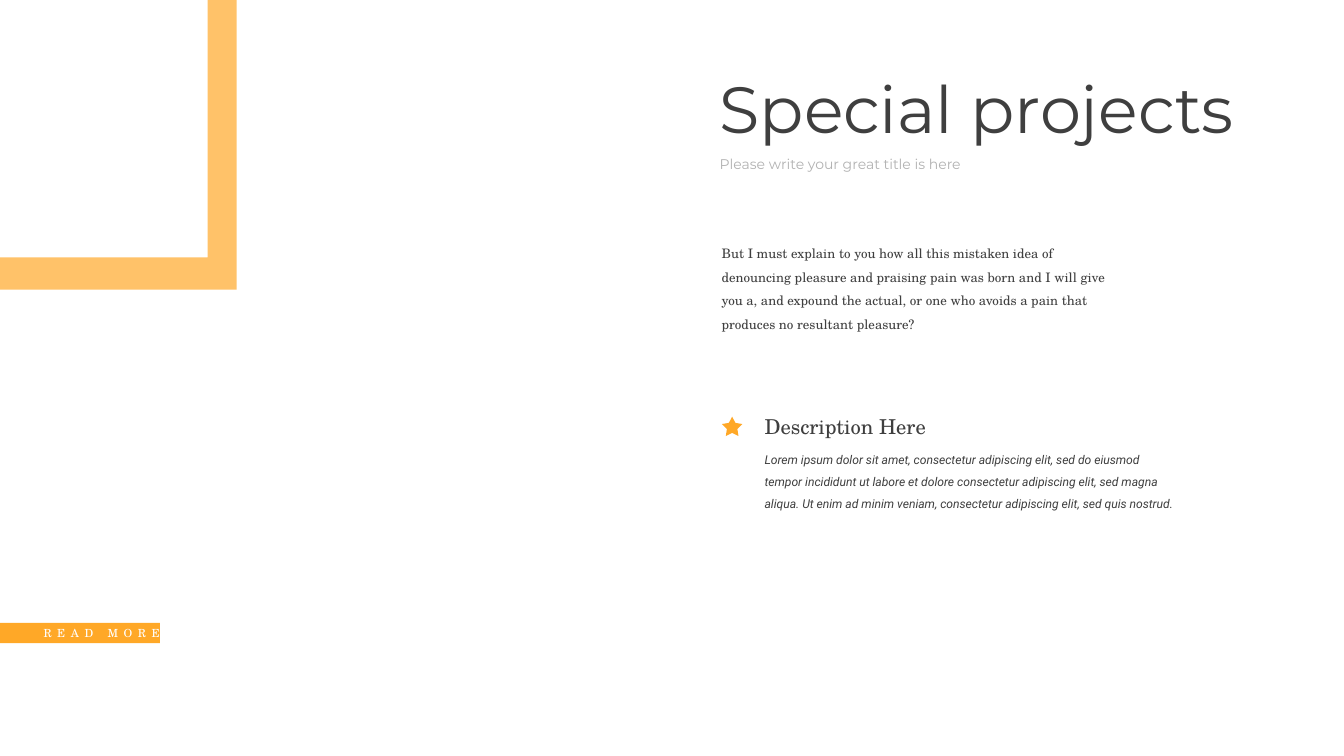
from math import cos, pi, sin

from lxml.etree import SubElement
from pptx import Presentation
from pptx.dml.color import RGBColor
from pptx.enum.shapes import MSO_SHAPE
from pptx.enum.text import MSO_ANCHOR, MSO_AUTO_SIZE, PP_ALIGN
from pptx.oxml.ns import qn
from pptx.util import Inches, Pt

COLORS = {"accent": "FFA827", "ink": "3F3F3F", "muted": "B2B2B2", "paper": "FFFFFF"}
SANS, SERIF, BODY = "Montserrat", "TeX Gyre Schola", "Roboto"
COLUMNS, ROWS = 80, 45


def write(shape, text, *, size, font, color="ink", italic=False, leading=1.0,
          align=PP_ALIGN.LEFT, anchor=MSO_ANCHOR.TOP, tracking=0, right_inset=0.1):
    frame = shape.text_frame
    frame.word_wrap = True
    frame.auto_size = MSO_AUTO_SIZE.NONE
    frame.vertical_anchor = anchor
    frame.margin_left, frame.margin_right = Inches(0.1), Inches(right_inset)
    frame.margin_top = frame.margin_bottom = Inches(0.05)
    paragraph = frame.paragraphs[0]
    paragraph.alignment = align
    paragraph.line_spacing = leading
    run = paragraph.add_run()
    run.text = text
    run.font.size, run.font.name, run.font.italic = Pt(size), font, italic
    run.font.color.rgb = RGBColor.from_string(COLORS[color])
    if tracking:
        run.font._element.set("spc", str(tracking * 100))


class SlideBuilder:
    """Places elements on a grid of 80 columns by 45 rows."""

    def __init__(self, deck):
        self.slide = deck.slides.add_slide(deck.slide_layouts[5])
        self.column = deck.slide_width / COLUMNS
        self.row = deck.slide_height / ROWS

    def place(self, left, top, width, height):
        return [round(v) for v in (left * self.column, top * self.row,
                                   width * self.column, height * self.row)]

    def paint(self, shape, color, opacity=None):
        shape.shadow.inherit = False
        shape.fill.solid()
        shape.fill.fore_color.rgb = RGBColor.from_string(COLORS[color])
        shape.line.fill.background()
        if opacity is not None:
            tint = shape._element.spPr.find(qn("a:solidFill")).find(qn("a:srgbClr"))
            SubElement(tint, qn("a:alpha"), val=str(opacity * 1000))

    def title(self, box, text, **style):
        heading = self.slide.shapes.title
        heading.left, heading.top, heading.width, heading.height = self.place(*box)
        write(heading, text, **style)

    def text(self, box, text, **style):
        write(self.slide.shapes.add_textbox(*self.place(*box)), text, **style)

    def button(self, box, text, fill, **style):
        bar = self.slide.shapes.add_shape(MSO_SHAPE.RECTANGLE, *self.place(*box))
        self.paint(bar, fill)
        write(bar, text, anchor=MSO_ANCHOR.MIDDLE, **style)

    def outline(self, points, color, opacity=None):
        corners = [(x * self.column, y * self.row) for x, y in points]
        builder = self.slide.shapes.build_freeform(*corners[0], scale=1.0)
        builder.add_line_segments(corners[1:], close=True)
        self.paint(builder.convert_to_shape(), color, opacity)

    def star(self, center_x, center_y, outer, inner, color):
        radii = [outer, inner] * 5
        self.outline([(center_x + radius * sin(step * pi / 5),
                       center_y - radius * cos(step * pi / 5))
                      for step, radius in enumerate(radii)], color)


def main():
    deck = Presentation()
    deck.slide_width, deck.slide_height = Inches(20), Inches(11.25)
    page = SlideBuilder(deck)

    heading_left, detail_left = 42.44, 45.12
    page.title((heading_left, 3.88, 35.8, 5.12), "Special projects", size=70, font=SANS)
    page.text((heading_left, 9.04, 18.48, 1.4), "Please write your great title is here",
              size=15, font=SANS, color="muted")

    page.star(43.58, 25.44, 0.64, 0.33, "accent")
    page.text((detail_left, 26.32, 25.36, 4.36),
              "Lorem ipsum dolor sit amet, consectetur adipiscing elit, sed do eiusmod "
              "tempor incididunt ut labore et dolore consectetur adipiscing elit, sed magna "
              "aliqua. Ut enim ad minim veniam, consectetur adipiscing elit, sed quis nostrud.",
              size=13, font=BODY, italic=True, leading=1.5)
    page.text((detail_left, 24.44, 12.16, 1.88), "Description Here", size=22, font=SERIF)
    page.text((42.56, 13.96, 24.24, 6.04),
              "But I must explain to you how all this mistaken idea of denouncing pleasure "
              "and praising pain was born and I will give you a, and expound the actual, or "
              "one who avoids a pain that produces no resultant pleasure?",
              size=14, font=SERIF, leading=1.5)

    page.button((0, 37.08, 9.52, 1.2), "READ MORE", "accent", size=12, font=SERIF,
                color="paper", align=PP_ALIGN.RIGHT, tracking=6, right_inset=0)

    inner_x, outer_x, inner_y, outer_y = 12.36, 14.08, 15.32, 17.24
    page.outline([(inner_x, 0), (outer_x, 0), (outer_x, outer_y), (0, outer_y),
                  (0, inner_y), (inner_x, inner_y)], "accent", opacity=69)

    deck.save("out.pptx")


if __name__ == "__main__":
    main()
